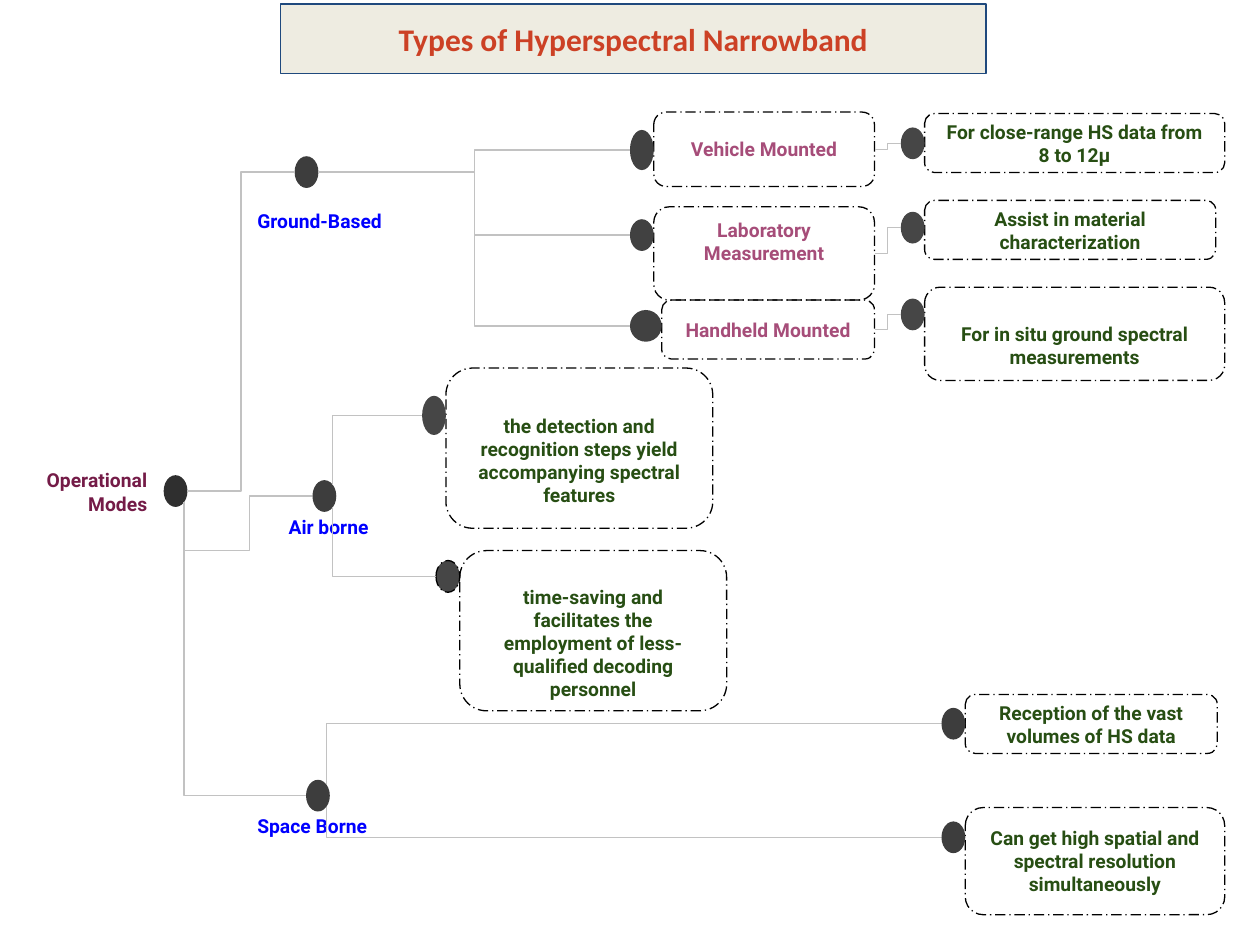
from dataclasses import dataclass

from lxml.etree import SubElement
from pptx import Presentation
from pptx.dml.color import RGBColor
from pptx.enum.dml import MSO_LINE
from pptx.enum.shapes import MSO_CONNECTOR, MSO_SHAPE
from pptx.enum.text import MSO_ANCHOR as Anchor, MSO_AUTO_SIZE, PP_ALIGN as Align
from pptx.oxml.ns import qn
from pptx.util import Cm, Pt


@dataclass(frozen=True)
class Theme:
    title: str = "CC4125"
    title_fill: str = "EEECE1"
    title_line: str = "1F497D"
    root: str = "741B47"
    mode: str = "0000FF"
    platform: str = "A64D79"
    effect: str = "274E13"
    border: str = "000000"
    link: str = "C2C2C2"
    root_dot: str = "2F2F2F"
    mode_dot: str = "3D3D3D"
    platform_dot: str = "414141"
    effect_dot: str = "464646"
    title_font: str = "Calibri"
    body_font: str = "Roboto"
    title_size: Pt = Pt(18)
    body_size: Pt = Pt(11)
    line_width: Pt = Pt(0.75)


THEME = Theme()
INSET = 0.25
BLANK_LINE = 0.48  # one line of body text, in cm
DOT_WIDTH, DOT_HEIGHT = 0.48, 0.64
SITE = 0.3536  # diagonal connection site of an ellipse, as a share of its size


def rgb(code):
    return RGBColor.from_string(code)


def set_line(line, color, dash=None):
    line.color.rgb = rgb(color)
    line.width = THEME.line_width
    if dash:
        line.dash_style = dash


def set_text(frame, text, color, align, font=THEME.body_font,
             size=THEME.body_size, above=0, below=0):
    frame.word_wrap = True
    frame.auto_size = MSO_AUTO_SIZE.NONE
    frame.vertical_anchor = Anchor.MIDDLE
    frame.margin_left = frame.margin_right = Cm(INSET)
    frame.margin_top = Cm(INSET + above)
    frame.margin_bottom = Cm(INSET + below)
    paragraph = frame.paragraphs[0]
    paragraph.text = text
    paragraph.alignment = align
    paragraph.font.name, paragraph.font.size = font, size
    paragraph.font.bold = True
    paragraph.font.color.rgb = rgb(color)


def add_plain_shape(slide, kind, box):
    shape = slide.shapes.add_shape(kind, *map(Cm, box))
    shape.shadow.inherit = False
    shape.fill.background()
    shape.line.fill.background()
    return shape


def add_title(slide, text):
    title = slide.shapes.title
    title.left, title.top, title.width, title.height = map(Cm, (5.66, 0.08, 14.22, 1.4))
    outline = SubElement(title._element.spPr, qn("a:prstGeom"), prst="round2DiagRect")
    guides = SubElement(outline, qn("a:avLst"))
    for name, value in (("adj1", 16667), ("adj2", 0)):
        SubElement(guides, qn("a:gd"), name=name, fmla=f"val {value}")
    title.fill.solid()
    title.fill.fore_color.rgb = rgb(THEME.title_fill)
    set_line(title.line, THEME.title_line)
    set_text(title.text_frame, text, THEME.title, Align.CENTER,
             THEME.title_font, THEME.title_size)


def add_dot(slide, left, top, color, width=DOT_WIDTH, height=DOT_HEIGHT):
    dot = add_plain_shape(slide, MSO_SHAPE.OVAL, (left, top, width, height))
    dot.fill.solid()
    dot.fill.fore_color.rgb = rgb(color)
    return dot


def add_label(slide, left, top, text, color, align=Align.LEFT):
    label = add_plain_shape(slide, MSO_SHAPE.ROUNDED_RECTANGLE, (left, top, 3.28, 1.19))
    set_text(label.text_frame, text, color, align)


def add_card(slide, box, text, color, dot_top, dot_color,
             dot_width=DOT_WIDTH, dot_height=DOT_HEIGHT, **spacing):
    """Dashed card with a dot touching its left edge."""
    card = add_plain_shape(slide, MSO_SHAPE.ROUNDED_RECTANGLE, box)
    set_line(card.line, THEME.border, MSO_LINE.LONG_DASH_DOT)
    set_text(card.text_frame, text, color, Align.CENTER, **spacing)
    dot = add_dot(slide, box[0] - dot_width, dot_top, dot_color, dot_width, dot_height)
    return card, dot


def left_end(shape):
    return shape.left, shape.top + shape.height // 2


def right_end(shape):
    return shape.left + shape.width, shape.top + shape.height // 2


def corner(dot, down):
    """Lower or upper right connection site of a dot."""
    x = dot.left + dot.width * (0.5 + SITE)
    y = dot.top + dot.height * (0.5 + (SITE if down else -SITE))
    return int(x), int(y)


def add_link(slide, start, end):
    link = slide.shapes.add_connector(MSO_CONNECTOR.ELBOW, *start, *end)
    set_line(link.line, THEME.link)
    SubElement(link._element.spPr, qn("a:effectLst"))
    return link


def add_upright_link(slide, start, end, preset="bentConnector2", adjustments=()):
    """Link that leaves vertically: a connector turned by a quarter."""
    (x1, y1), (x2, y2) = start, end
    center_x, center_y = (x1 + x2) // 2, (y1 + y2) // 2
    half_rise, half_run = (y1 - y2) // 2, (x2 - x1) // 2
    link = add_link(slide, (center_x - half_rise, center_y - half_run),
                    (center_x + half_rise, center_y + half_run))
    link.rotation = 270
    geometry = link._element.spPr.find(qn("a:prstGeom"))
    geometry.set("prst", preset)
    guides = geometry.find(qn("a:avLst"))
    for number, share in enumerate(adjustments, 1):
        SubElement(guides, qn("a:gd"), name=f"adj{number}",
                   fmla=f"val {round(share * 100000)}")


def add_modes(slide):
    add_label(slide, 0, 9.32, "Operational Modes", THEME.root, Align.RIGHT)
    root = add_dot(slide, 3.3, 9.58, THEME.root_dot)
    modes = []
    for text, label_at, dot_at in (
        ("Ground-Based", (4.88, 3.86), (5.94, 3.15)),
        ("Air borne", (5.51, 10.03), (6.3, 9.68)),
        ("Space Borne", (4.88, 16.05), (6.17, 15.72)),
    ):
        add_label(slide, *label_at, text, THEME.mode)
        modes.append(add_dot(slide, *dot_at, THEME.mode_dot))
    ground, air, space = modes
    add_link(slide, right_end(root), left_end(ground))
    start, end = corner(root, True), left_end(air)
    drop = Cm(0.97) / (start[1] - end[1])
    add_upright_link(slide, start, end, "bentConnector4", (-drop, 0.51))
    add_upright_link(slide, start, left_end(space))
    return modes


def add_ground_branch(slide, ground):
    platforms = (
        ((13.18, 2.26, 4.45, 1.5), "Vehicle Mounted", 2.62, {"dot_height": 0.81}),
        ((13.18, 4.17, 4.45, 1.88), "Laboratory Measurement", 4.42, {"below": BLANK_LINE}),
        ((13.34, 6.05, 4.29, 1.19), "Handheld Mounted", 6.25, {"dot_width": 0.64}),
    )
    effects = (
        ((18.64, 2.29, 6.05, 1.19), "For close-range HS data from 8 to 12μ", 2.57, {}),
        ((18.64, 4.04, 5.87, 1.19), "Assist in material characterization", 4.27, {}),
        ((18.64, 5.79, 6.05, 1.88), "For in situ ground spectral measurements", 6.02,
         {"above": BLANK_LINE}),
    )
    for platform, effect in zip(platforms, effects):
        box, text, dot_top, options = platform
        card, dot = add_card(slide, box, text, THEME.platform, dot_top,
                             THEME.platform_dot, **options)
        add_link(slide, right_end(ground), left_end(dot))
        box, text, dot_top, options = effect
        _, effect_dot = add_card(slide, box, text, THEME.effect, dot_top,
                                 THEME.effect_dot, **options)
        add_link(slide, right_end(card), left_end(effect_dot))


def add_effect_pair(slide, mode, dot_color, upper, lower):
    """One card above and one below the mode; returns their dots."""
    dots = []
    for down, (box, text, dot_top, options) in enumerate((upper, lower)):
        _, dot = add_card(slide, box, text, THEME.effect, dot_top, dot_color, **options)
        add_upright_link(slide, corner(mode, down), left_end(dot))
        dots.append(dot)
    return dots


def main():
    deck = Presentation()
    deck.slide_width, deck.slide_height = Cm(25.4), Cm(19.05)
    slide = deck.slides.add_slide(deck.slide_layouts[5])
    add_title(slide, "Types of Hyperspectral Narrowband")
    ground, air, space = add_modes(slide)
    add_ground_branch(slide, ground)

    # Airborne branch
    _, outlined_dot = add_effect_pair(
        slide, air, THEME.effect_dot,
        ((8.99, 7.42, 5.38, 3.23), "the detection and recognition steps yield "
         "accompanying spectral features", 7.98, {"dot_height": 0.79, "above": BLANK_LINE}),
        ((9.27, 11.1, 5.38, 3.23), "time-saving and facilitates the employment of "
         "less-qualified decoding personnel", 11.3, {"above": BLANK_LINE}))
    set_line(outlined_dot.line, THEME.border, MSO_LINE.LONG_DASH_DOT)

    # Spaceborne branch
    add_effect_pair(
        slide, space, THEME.mode_dot,
        ((19.46, 14, 5.08, 1.19), "Reception of the vast volumes of HS data", 14.27, {}),
        ((19.46, 16.28, 5.23, 2.16), "Can get high spatial and spectral resolution "
         "simultaneously", 16.56, {}))
    deck.save("out.pptx")


main()
